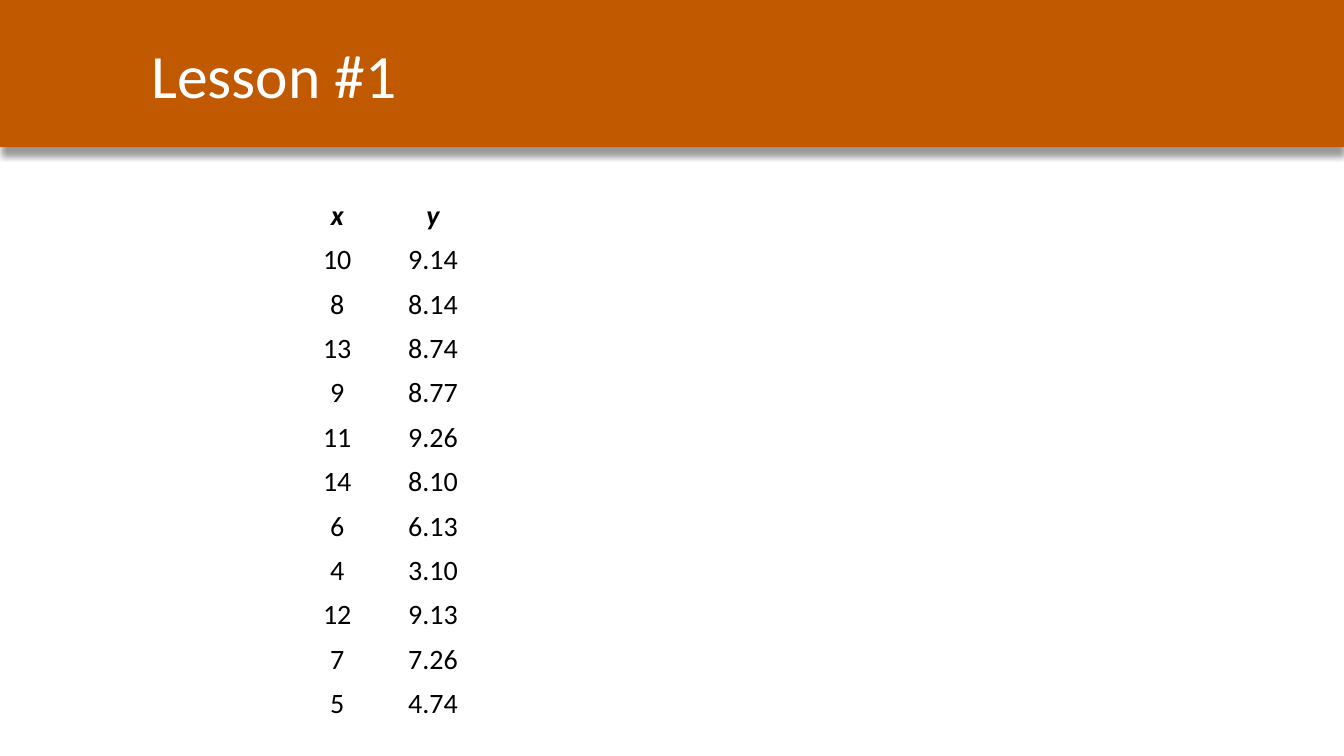
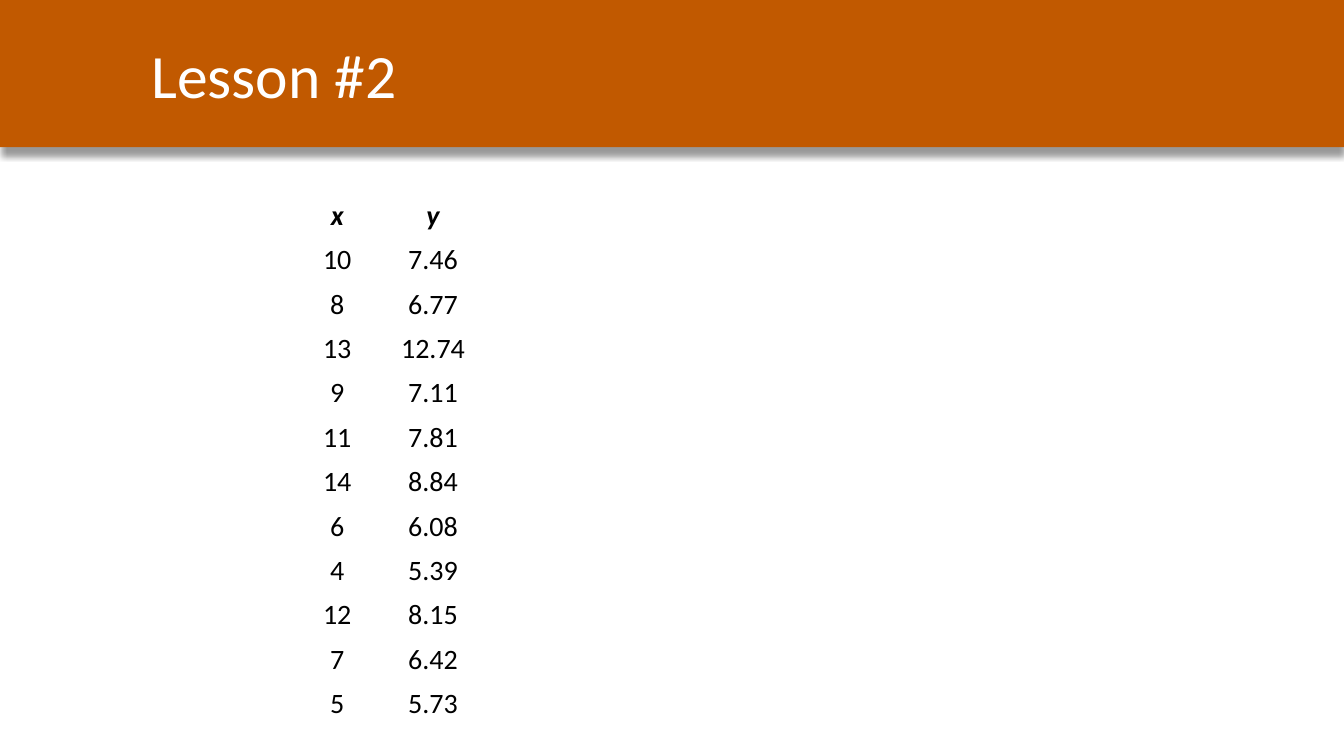
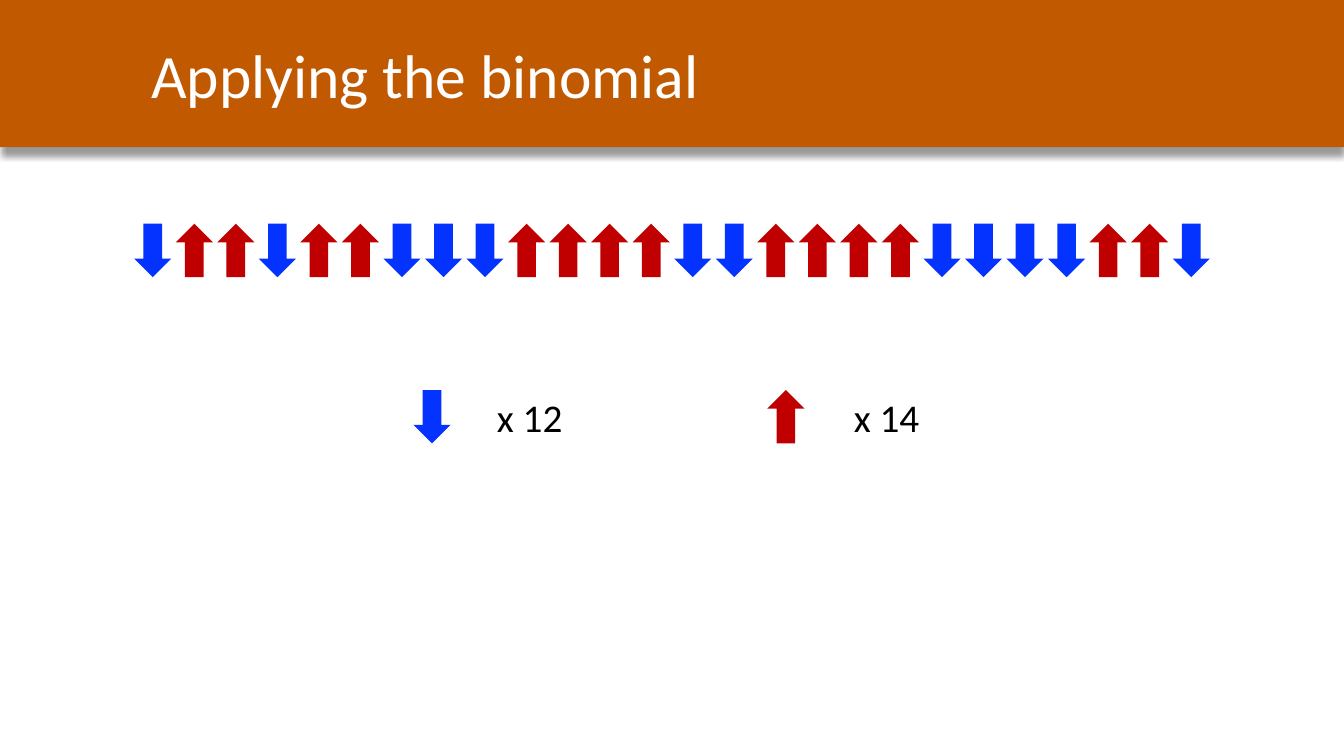
from dataclasses import dataclass

from lxml import etree
from pptx import Presentation
from pptx.dml.color import RGBColor
from pptx.enum.shapes import MSO_SHAPE
from pptx.enum.text import MSO_ANCHOR, MSO_AUTO_SIZE, PP_ALIGN
from pptx.oxml import parse_xml
from pptx.oxml.ns import nsdecls, qn
from pptx.util import Inches, Pt

UP, DOWN = MSO_SHAPE.UP_ARROW, MSO_SHAPE.DOWN_ARROW
RECTANGLE = MSO_SHAPE.RECTANGLE
LEFT, CENTER = PP_ALIGN.LEFT, PP_ALIGN.CENTER
MIDDLE = MSO_ANCHOR.MIDDLE
FIT_NONE, FIT_SHAPE = MSO_AUTO_SIZE.NONE, MSO_AUTO_SIZE.SHAPE_TO_FIT_TEXT

FONT = "Calibri"
ORANGE, BLUE, RED, WHITE, BLACK = "C15900", "0432FF", "C00000", "FFFFFF", "000000"

SLIDE_WIDTH, SLIDE_HEIGHT = 13.33, 7.5
BAND_HEIGHT = 1.46
TITLE_LEFT, TITLE_TOP, TITLE_HEIGHT = 1.4, 0.12, 1.22
TITLE_ONLY = 5

TABLE_LEFT, TABLE_TOP = 2.87, 1.92
COLUMN_WIDTH, ROW_HEIGHT = 0.95, 0.43

ARROW_WIDTH, ARROW_HEIGHT = 0.37, 0.53
ARROW_LEFT, ARROW_TOP, ARROW_PITCH = 1.33, 2.22, 0.412
COUNT_TOP = 3.87
SEQUENCE = "DUUDUUDDDUUUUDDUUUUDDDDUUD"


@dataclass(frozen=True)
class Lesson:
    title: str
    y_values: tuple[str, ...]


@dataclass(frozen=True)
class Direction:
    arrow: int
    color: str


@dataclass(frozen=True)
class Count:
    letter: str
    arrow_left: float
    label_left: float


X_VALUES = ("10", "8", "13", "9", "11", "14", "6", "4", "12", "7", "5")
LESSONS = (
    Lesson("Lesson #1", ("9.14", "8.14", "8.74", "8.77", "9.26", "8.10",
                         "6.13", "3.10", "9.13", "7.26", "4.74")),
    Lesson("Lesson #2", ("7.46", "6.77", "12.74", "7.11", "7.81", "8.84",
                         "6.08", "5.39", "8.15", "6.42", "5.73")),
)
DIRECTIONS = {"D": Direction(DOWN, BLUE), "U": Direction(UP, RED)}
COUNTS = (Count("D", 4.1, 4.83), Count("U", 7.61, 8.37))


def rgb(color: str) -> RGBColor:
    return RGBColor.from_string(color)


def write(frame, text: str, size: int, color: str, align=LEFT, emphasis: bool = False) -> None:
    para = frame.paragraphs[0]
    para.alignment = align
    span = para.add_run()
    span.text = text
    font = span.font
    font.name, font.size = FONT, Pt(size)
    font.bold = font.italic = emphasis
    font.color.rgb = rgb(color)


def add_filled(shapes, kind, left: float, top: float, width: float, height: float, color: str):
    shape = shapes.add_shape(kind, Inches(left), Inches(top), Inches(width), Inches(height))
    shape.shadow.inherit = False
    shape.fill.solid()
    shape.fill.fore_color.rgb = rgb(color)
    shape.line.fill.background()
    return shape


def add_shadow(shape) -> None:
    """Give the shape a soft shadow straight below it."""
    effects = shape.element.spPr.find(qn("a:effectLst"))
    shadow = parse_xml(
        f'<a:outerShdw {nsdecls("a")} blurRad="{Pt(4)}" dist="{Pt(6)}" dir="5400000" '
        'algn="t" rotWithShape="0"/>')
    color = etree.SubElement(shadow, qn("a:srgbClr"), val=BLACK)
    etree.SubElement(color, qn("a:alpha"), val="40000")
    effects.append(shadow)


def prepare_layout(layout, first_page) -> None:
    """Put the shared band behind the title, and place the title, on the layout."""
    band = add_filled(first_page.shapes, RECTANGLE, 0, 0, SLIDE_WIDTH, BAND_HEIGHT, ORANGE)
    add_shadow(band)
    layout.shapes.element.insert(2, band.element)
    title = layout.placeholders[0]
    title.left, title.top = Inches(TITLE_LEFT), Inches(TITLE_TOP)
    title.width, title.height = Inches(SLIDE_WIDTH - TITLE_LEFT), Inches(TITLE_HEIGHT)


def set_title(page, text: str) -> None:
    frame = page.shapes.title.text_frame
    frame.vertical_anchor = MIDDLE
    frame.auto_size = FIT_NONE
    write(frame, text, 44, WHITE)


def add_data_table(page, y_values: tuple[str, ...]) -> None:
    rows = [("x", "y"), *zip(X_VALUES, y_values)]
    table = page.shapes.add_table(
        len(rows), 2, Inches(TABLE_LEFT), Inches(TABLE_TOP),
        Inches(2 * COLUMN_WIDTH), Inches(len(rows) * ROW_HEIGHT)).table
    table.first_row = table.horz_banding = False
    for row_index, values in enumerate(rows):
        for column_index, value in enumerate(values):
            cell = table.cell(row_index, column_index)
            cell.fill.background()
            write(cell.text_frame, value, 20, BLACK, CENTER, emphasis=row_index == 0)


def add_arrow(group, letter: str, left: float, top: float) -> None:
    direction = DIRECTIONS[letter]
    add_filled(group.shapes, direction.arrow, left, top, ARROW_WIDTH, ARROW_HEIGHT, direction.color)


def add_sequence(page) -> None:
    group = page.shapes.add_group_shape()
    for index, letter in enumerate(SEQUENCE):
        add_arrow(group, letter, ARROW_LEFT + index * ARROW_PITCH, ARROW_TOP)


def add_counts(page) -> None:
    group = page.shapes.add_group_shape()
    for count in COUNTS:
        add_arrow(group, count.letter, count.arrow_left, COUNT_TOP)
        box = group.shapes.add_textbox(
            Inches(count.label_left), Inches(COUNT_TOP - 0.02), Inches(0.86), Inches(0.57))
        box.text_frame.word_wrap = False
        box.text_frame.auto_size = FIT_SHAPE
        write(box.text_frame, f"x {SEQUENCE.count(count.letter)}", 28, BLACK)


def main() -> None:
    deck = Presentation()
    deck.slide_width, deck.slide_height = Inches(SLIDE_WIDTH), Inches(SLIDE_HEIGHT)
    layout = deck.slide_layouts[TITLE_ONLY]
    titles = [lesson.title for lesson in LESSONS] + ["Applying the binomial"]
    pages = [deck.slides.add_slide(layout) for _ in titles]
    prepare_layout(layout, pages[0])
    for page, title in zip(pages, titles):
        set_title(page, title)
    for page, lesson in zip(pages, LESSONS):
        add_data_table(page, lesson.y_values)
    add_sequence(pages[-1])
    add_counts(pages[-1])
    deck.save("out.pptx")


if __name__ == "__main__":
    main()
